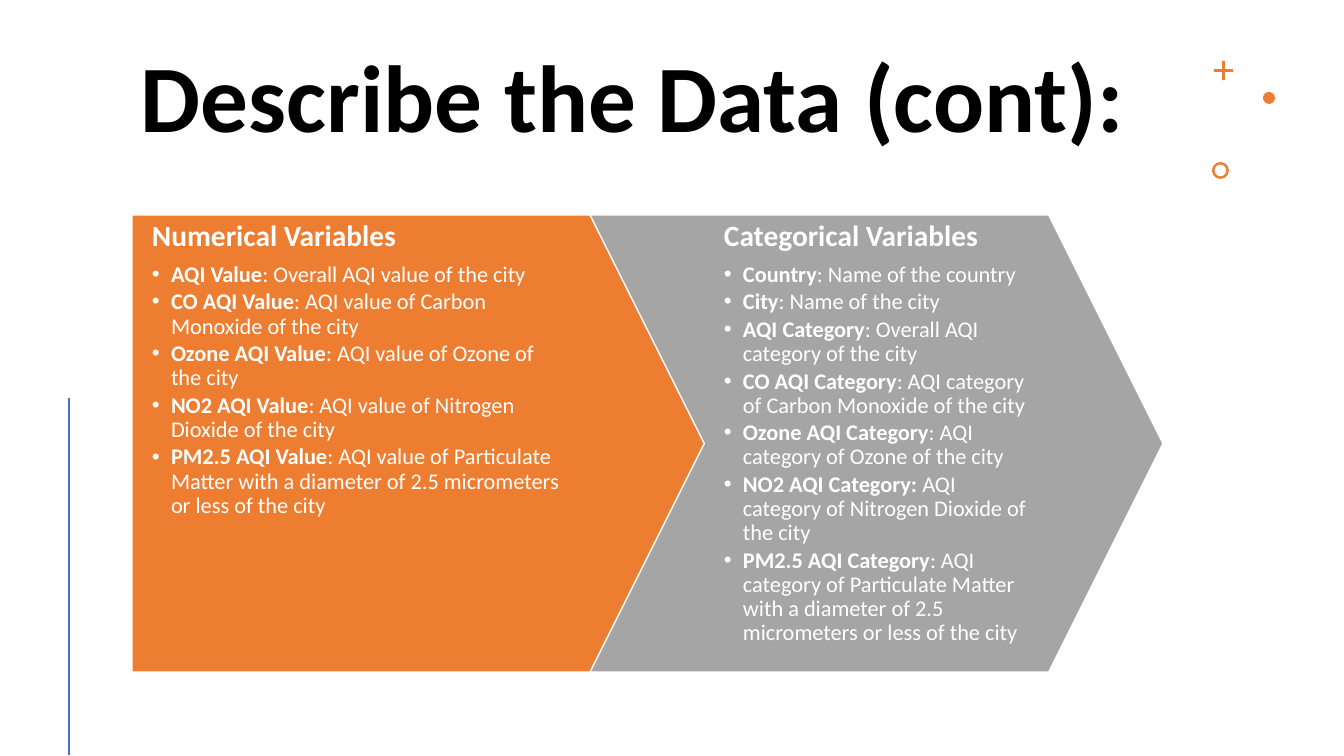
from lxml.etree import SubElement
from pptx import Presentation
from pptx.dml.color import RGBColor
from pptx.enum.shapes import MSO_CONNECTOR, MSO_SHAPE
from pptx.oxml.ns import qn
from pptx.util import Pt

EMU_PER_PX = 12192000 / 1344

NUMERICAL = [
    ("AQI Value", ": Overall AQI value of the city"),
    ("CO AQI Value", ": AQI value of Carbon Monoxide of the city"),
    ("Ozone AQI Value", ": AQI value of Ozone of the city"),
    ("NO2 AQI Value", ": AQI value of Nitrogen Dioxide of the city"),
    ("PM2.5 AQI Value", ": AQI value of Particulate Matter with a diameter "
                        "of 2.5 micrometers or less of the city"),
]
CATEGORICAL = [
    ("Country", ": Name of the country"),
    ("City", ": Name of the city"),
    ("AQI Category", ": Overall AQI category of the city"),
    ("CO AQI Category", ": AQI category of Carbon Monoxide of the city"),
    ("Ozone AQI Category", ": AQI category of Ozone of the city"),
    ("NO2 AQI Category: ", "AQI category of Nitrogen Dioxide of the city"),
    ("PM2.5 AQI Category", ": AQI category of Particulate Matter with a diameter "
                           "of 2.5 micrometers or less of the city"),
]


def px(length):
    """Turn pixels into EMU."""
    return round(length * EMU_PER_PX)


def color(hex_code):
    """Turn a hex string into a colour."""
    return RGBColor.from_string(hex_code)


def write(paragraph, text, size=16, bold=False, ink="FFFFFF", font="Calibri"):
    """Add formatted text to a paragraph."""
    run = paragraph.add_run()
    run.text = text
    run.font.name = font
    run.font.size = Pt(size)
    run.font.bold = bold
    run.font.color.rgb = color(ink)


class SlideBuilder:
    """Hold the style and the slide, and add its elements."""

    orange, gray, blue, white, black = "ED7D31", "A5A5A5", "4472C4", "FFFFFF", "000000"

    def __init__(self, slide):
        """Keep the slide to build on."""
        self.slide = slide

    def shape(self, preset, box, fill, outline=None, adjust=None):
        """Add a preset shape."""
        item = self.slide.shapes.add_shape(preset, *map(px, box))
        item.shadow.inherit = False
        item.fill.solid()
        item.fill.fore_color.rgb = color(fill)
        if outline:
            item.line.color.rgb = color(outline)
            item.line.width = Pt(1)
        else:
            item.line.fill.background()
        if adjust is not None:
            item.adjustments[0] = adjust

    def line(self, start, end, ink, width):
        """Add a straight line."""
        rule = self.slide.shapes.add_connector(
            MSO_CONNECTOR.STRAIGHT, *map(px, start + end))
        rule.line.color.rgb = color(ink)
        rule.line.width = Pt(width)
        SubElement(rule._element.spPr, qn("a:effectLst"))

    def text_frame(self, box, insets):
        """Add a wrapping text box and return its frame."""
        frame = self.slide.shapes.add_textbox(*map(px, box)).text_frame
        frame.word_wrap = True
        (frame.margin_left, frame.margin_top,
         frame.margin_right, frame.margin_bottom) = map(px, insets)
        frame.paragraphs[0].line_spacing = 0.9
        return frame

    def title(self, text, box):
        """Add the slide title."""
        heading = self.text_frame(box, (10, 8, 10, 5)).paragraphs[0]
        write(heading, text, size=68, bold=True, ink=self.black)

    def variables(self, heading, entries, box, right_inset):
        """Add a heading with a bulleted list of variables."""
        frame = self.text_frame(box, (20, 6, right_inset, 6))
        frame.paragraphs[0].space_after = Pt(7.35)
        write(frame.paragraphs[0], heading, size=21, bold=True)
        for name, meaning in entries:
            entry = frame.add_paragraph()
            entry.level = 1
            entry.line_spacing = 0.9
            entry.space_after = Pt(2.4)
            self.bullet(entry)
            write(entry, name, bold=True)
            write(entry, meaning)

    def bullet(self, paragraph):
        """Give a paragraph a hanging bullet."""
        properties = paragraph._p.get_or_add_pPr()
        properties.set("marL", str(px(19)))
        properties.set("indent", str(-px(19)))
        SubElement(properties, qn("a:buClr")).append(self.bullet_ink())
        SubElement(properties, qn("a:buFont")).set("typeface", "Arial")
        SubElement(properties, qn("a:buChar")).set("char", "•")

    def bullet_ink(self):
        """Return the colour element of a bullet."""
        holder = SubElement(self.slide._element.makeelement(qn("a:buClr")), qn("a:srgbClr"))
        holder.set("val", self.white)
        return holder


def main():
    """Build and save the slide."""
    deck = Presentation()
    deck.slide_width, deck.slide_height = px(1344), px(756)
    page = SlideBuilder(deck.slides.add_slide(deck.slide_layouts[6]))

    page.title("Describe the Data (cont):", (131, 42, 1031, 132))
    page.shape(MSO_SHAPE.CROSS, (1214, 61, 19, 19), page.orange, adjust=0.43)
    page.shape(MSO_SHAPE.OVAL, (1263, 92, 12, 12), page.orange)
    page.shape(MSO_SHAPE.DONUT, (1212, 162, 17, 17), page.orange, adjust=0.15)
    page.line((69, 398), (69, 755), page.blue, 2)

    top, width, height = 215, 573, 457
    page.shape(MSO_SHAPE.PENTAGON, (132, top, width, height),
               page.orange, page.white, 0.25)
    page.variables("Numerical Variables", NUMERICAL, (132, top, 515, height), 80)
    page.shape(MSO_SHAPE.CHEVRON, (590, top, width, height),
               page.gray, page.white, 0.25)
    page.variables("Categorical Variables", CATEGORICAL, (704, top, 344, height), 20)

    deck.save("out.pptx")


if __name__ == "__main__":
    main()
